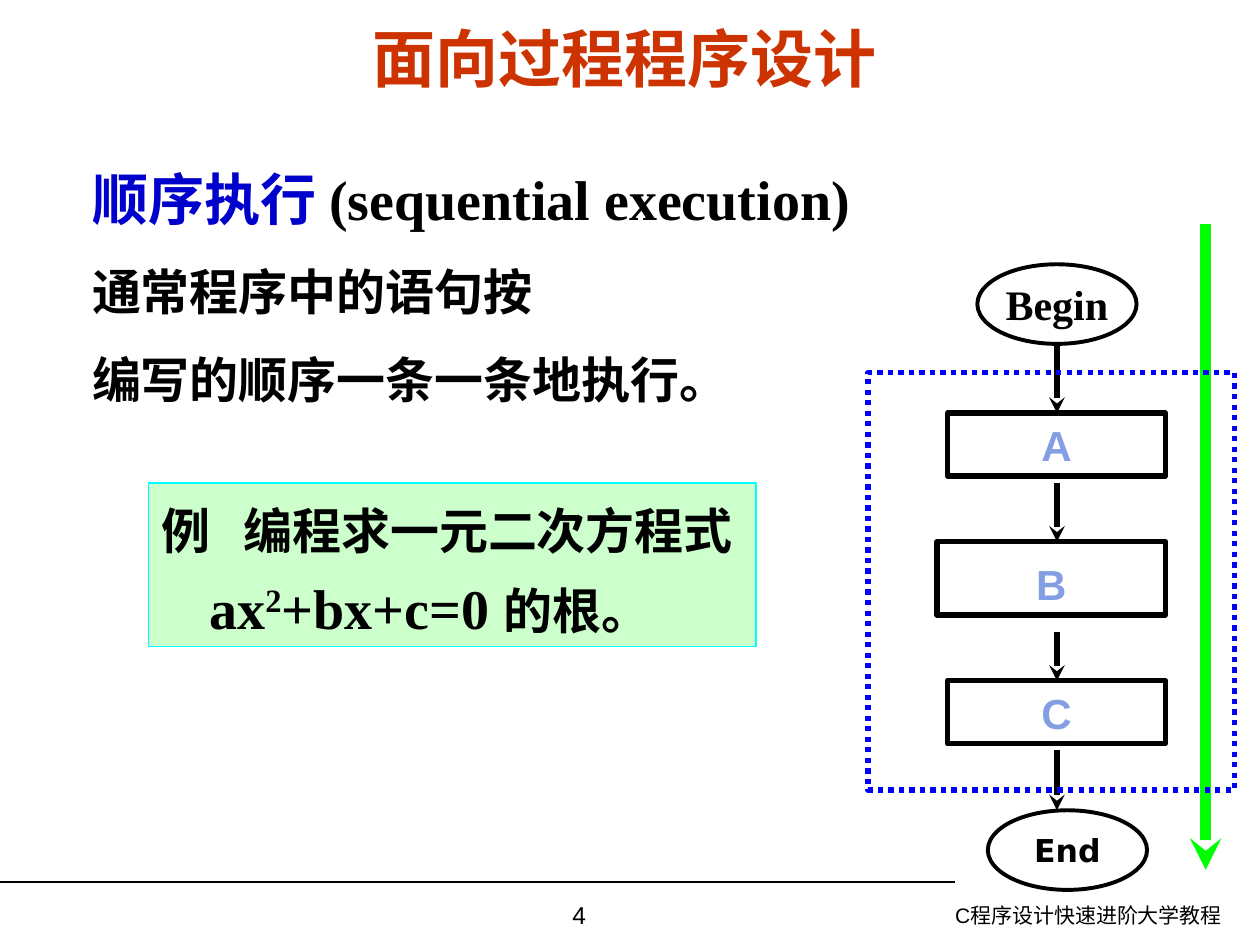
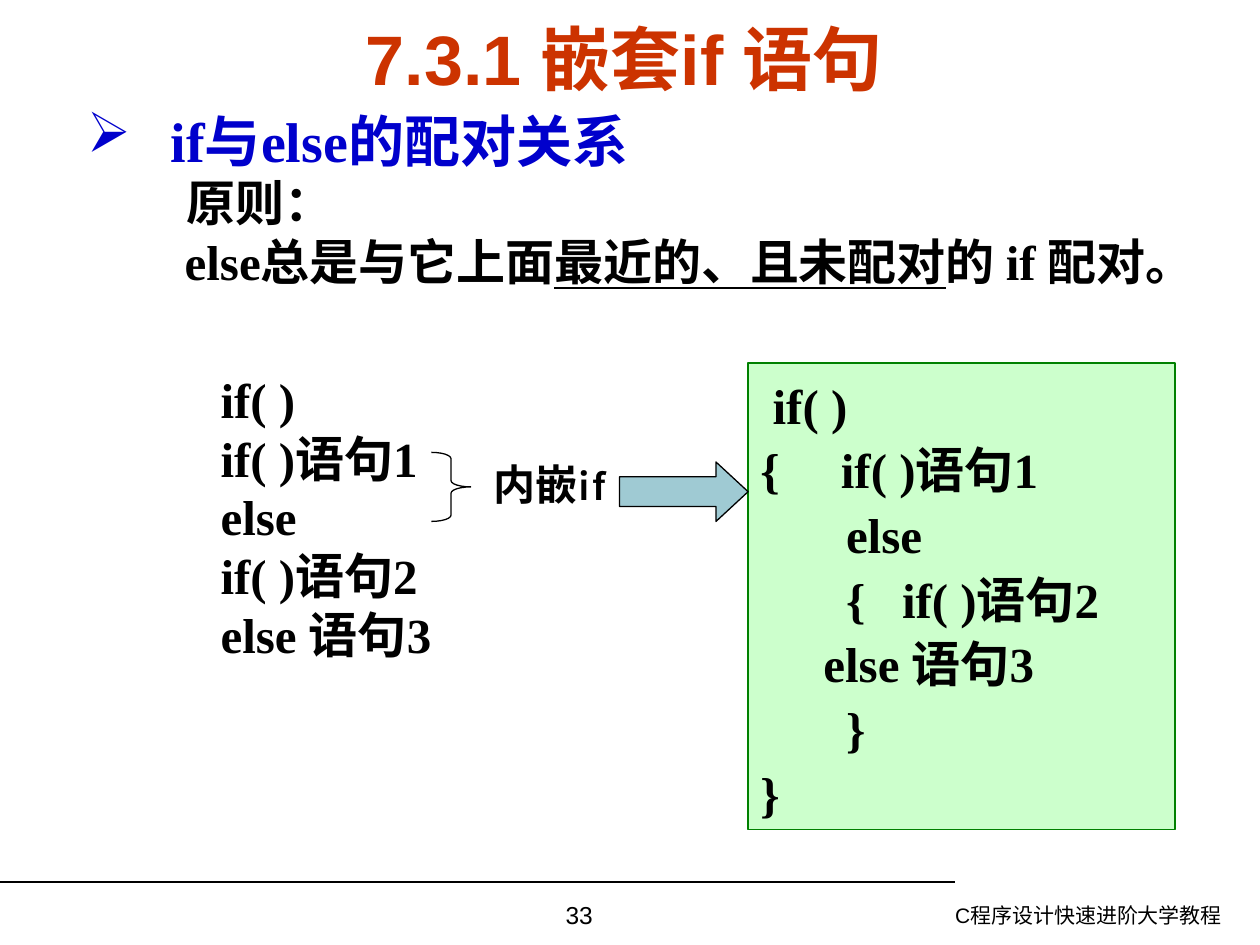
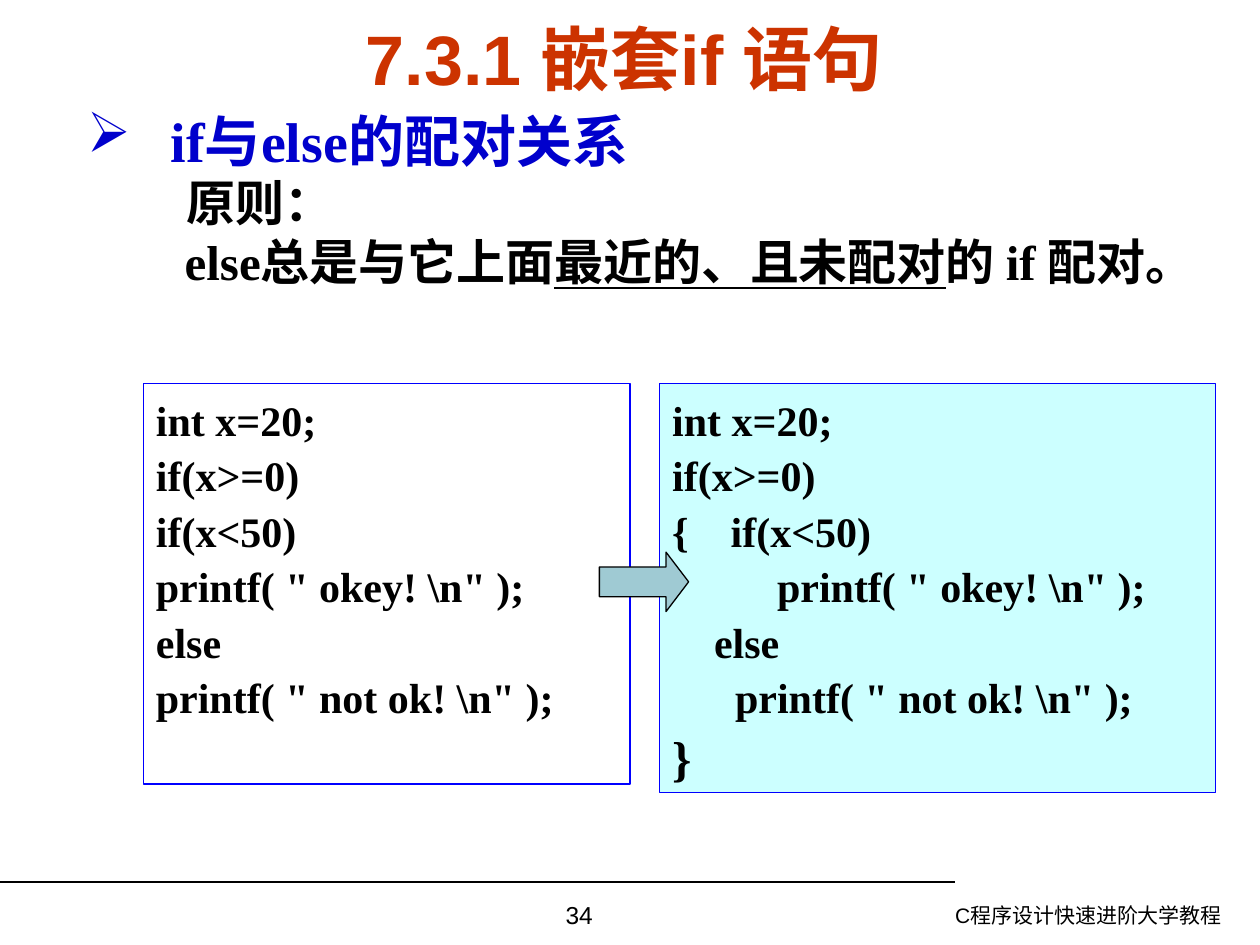
"""Build three C programming lecture slides: sequential execution and nested if."""
import lxml.etree
import pptx
import pptx.dml.color
import pptx.enum.dml
import pptx.enum.shapes
import pptx.enum.text
import pptx.oxml.ns
import pptx.util

Pt = pptx.util.Pt
qn = pptx.oxml.ns.qn
RGBColor = pptx.dml.color.RGBColor
Preset = pptx.enum.shapes.MSO_SHAPE
Align = pptx.enum.text.PP_ALIGN
Anchor = pptx.enum.text.MSO_ANCHOR

BLACK = RGBColor(0x00, 0x00, 0x00)
WHITE = RGBColor(0xFF, 0xFF, 0xFF)
TITLE_RED = RGBColor(0xCC, 0x33, 0x00)
HEADING_BLUE = RGBColor(0x00, 0x00, 0xCC)
FRAME_BLUE = RGBColor(0x00, 0x00, 0xFF)
STEP_BLUE = RGBColor(0x83, 0x9E, 0xE3)
FLOW_GREEN = RGBColor(0x00, 0xFF, 0x00)
CODE_GREEN = RGBColor(0x00, 0x80, 0x00)
PALE_GREEN = RGBColor(0xCC, 0xFF, 0xCC)
PALE_CYAN = RGBColor(0xCC, 0xFF, 0xFF)
CYAN = RGBColor(0x00, 0xFF, 0xFF)
ARROW_TEAL = RGBColor(0x9F, 0xCA, 0xD3)
SANS = "Arial"
SERIF = "Times New Roman"


def add_block(page, place, lines=(), size=28, font=SERIF, color=BLACK, bold=True,
              align=Align.LEFT, anchor=Anchor.TOP, spacing=1.0, wrap=True,
              preset=None, fill=None, line=BLACK, width=0.75):
    """Add a text box, or a preset shape, holding one paragraph for each line."""
    place = [Pt(length) for length in place]
    if preset is None:
        box = page.shapes.add_textbox(*place)
    else:
        box = page.shapes.add_shape(preset, *place)
        box.shadow.inherit = False
        if fill is None:
            box.fill.background()
        else:
            box.fill.solid()
            box.fill.fore_color.rgb = fill
        box.line.color.rgb = line
        box.line.width = Pt(width)
    frame = box.text_frame
    frame.word_wrap = wrap
    frame.vertical_anchor = anchor
    for index, text in enumerate(lines):
        para = frame.add_paragraph() if index else frame.paragraphs[0]
        para.add_run().text = text
        para.alignment = align
        para.line_spacing = spacing
        para.font.size = Pt(size)
        para.font.name = font
        para.font.bold = bold
        para.font.color.rgb = color
    return box


def add_line(page, start, end, color=BLACK, width=0.75, arrow=False):
    """Add a straight line, with a stealth arrowhead at its end if wanted."""
    points = [Pt(length) for length in (*start, *end)]
    connector = page.shapes.add_connector(pptx.enum.shapes.MSO_CONNECTOR.STRAIGHT, *points)
    connector.line.color.rgb = color
    connector.line.width = Pt(width)
    properties = connector.element.spPr
    if arrow:
        lxml.etree.SubElement(properties.find(qn("a:ln")), qn("a:tailEnd"), type="stealth")
    lxml.etree.SubElement(properties, qn("a:effectLst"))


deck = pptx.Presentation()
deck.slide_width = Pt(720)
deck.slide_height = Pt(540)

NESTED_TITLE = "7.3.1 嵌套if 语句"
pages = []
for number, title, title_size in [("4", "面向过程程序设计", 36),
                                  ("33", NESTED_TITLE, 40),
                                  ("34", NESTED_TITLE, 40)]:
    page = deck.slides.add_slide(deck.slide_layouts[6])
    add_line(page, (0, 504), (546, 504))
    add_block(page, (473, 512, 232.5, 28), ["C程序设计快速进阶大学教程"], 12, SANS,
              bold=False, align=Align.RIGHT)
    add_block(page, (247, 510.5, 168, 29.5), [number], 14, SANS, bold=False, align=Align.CENTER)
    add_block(page, (31, 15, 651.5, 36), [title], title_size, SANS, TITLE_RED,
              align=Align.CENTER, anchor=Anchor.MIDDLE)
    pages.append(page)
sequence_page, pairing_page, example_page = pages

intro = add_block(sequence_page, (45.5, 71.5, 533, 165.5),
                  ["顺序执行 ", "通常程序中的语句按", "编写的顺序一条一条地执行。"],
                  anchor=Anchor.MIDDLE, spacing=1.5)
heading = intro.text_frame.paragraphs[0]
heading.font.size = Pt(32)
heading.runs[0].font.color.rgb = HEADING_BLUE
heading.add_run().text = "(sequential execution)"

task = add_block(sequence_page, (85, 276, 347, 93.5), ["例\t编程求一元二次方程式", "ax"],
                 spacing=1.2, preset=Preset.RECTANGLE, fill=PALE_GREEN, line=CYAN)
question, equation = task.text_frame.paragraphs
properties = question._p.get_or_add_pPr()
tabs = lxml.etree.Element(qn("a:tabLst"))
lxml.etree.SubElement(tabs, qn("a:tab"), pos=str(Pt(47)), algn="l")
properties.find(qn("a:defRPr")).addprevious(tabs)
equation._p.get_or_add_pPr().set("marL", str(Pt(27.5)))
for text in ("2", "+bx+c=0 ", "的根。"):
    equation.add_run().text = text
for span in equation.runs[:3]:
    span.font.size = Pt(32)
equation.runs[1].font._element.set("baseline", "30000")

add_line(sequence_page, (689, 128), (689, 497), FLOW_GREEN, 6, arrow=True)
for name, left, top, wide, high, spacing in [("A", 541.5, 236, 124.5, 36, 1),
                                             ("B", 535.5, 309.5, 130.5, 42, 1.2),
                                             ("C", 541.5, 389, 124.5, 36, 1)]:
    add_block(sequence_page, (left, top, wide, high), [name], 24, SANS, STEP_BLUE,
              align=Align.CENTER, anchor=Anchor.MIDDLE, spacing=spacing,
              preset=Preset.RECTANGLE, width=3)
for top, bottom in [(196.5, 236), (276, 309.5), (361, 389), (428.5, 463)]:
    add_line(sequence_page, (604, top), (604, bottom), width=3, arrow=True)
scope = add_block(sequence_page, (496, 213, 209.5, 238.5), preset=Preset.RECTANGLE,
                  line=FRAME_BLUE, width=3)
scope.line.dash_style = pptx.enum.dml.MSO_LINE.ROUND_DOT
for name, left, top, size, font, fill in [("Begin", 558.5, 151, 24, SERIF, None),
                                          ("End", 564.5, 463, 18, "DejaVu Sans", WHITE)]:
    add_block(sequence_page, (left, top, 91, 45.5), [name], size, font, align=Align.CENTER,
              anchor=Anchor.MIDDLE, wrap=False, preset=Preset.OVAL, fill=fill, width=2.25)

for page in (pairing_page, example_page):
    rule = add_block(page, (42.5, 64.5, 641, 140), ["if与else的配对关系", "原则：", "else总是与它上面"])
    heading, label, principle = rule.text_frame.paragraphs
    heading.line_spacing = 0.8
    heading.font.size = Pt(32)
    heading.font.color.rgb = HEADING_BLUE
    for para, indent in [(heading, -48), (label, 9), (principle, 8)]:
        properties = para._p.get_or_add_pPr()
        properties.set("marL", str(Pt(48)))
        properties.set("indent", str(Pt(indent)))
    bullet = lxml.etree.Element(qn("a:buChar"), char="➢")
    heading._p.get_or_add_pPr().find(qn("a:defRPr")).addprevious(bullet)
    for text, underlined in [("最近的、且未配对", True), ("的 if 配对。", False)]:
        span = principle.add_run()
        span.text = text
        span.font.underline = underlined

add_block(pairing_page, (105, 207.5, 278, 175.5),
          ["  if( )", "  if( )语句1", "  else", "  if( )语句2", "  else 语句3"])
brace = add_block(pairing_page, (246.5, 258.5, 22.5, 39.5), preset=Preset.RIGHT_BRACE)
brace.adjustments[0] = 0.16
add_block(pairing_page, (275, 258.5, 79, 65), ["内嵌if"], 24, "Karla")
add_block(pairing_page, (427.5, 207.5, 244, 266.5),
          [" if( )", "{     if( )语句1", "       else", "       {   if( )语句2",
           "\telse 语句3", "       }", "}"],
          spacing=1.1, preset=Preset.RECTANGLE, fill=PALE_GREEN, line=CODE_GREEN)

add_block(example_page, (82, 219, 278, 229),
          ["int x=20;", "if(x>=0)", "if(x<50)", 'printf( " okey! \\n" );', "else",
           'printf( " not ok! \\n" );'],
          24, spacing=1.1, preset=Preset.RECTANGLE, line=FRAME_BLUE)
braced = add_block(example_page, (377, 219, 317.5, 234),
                   ["int x=20;", "if(x>=0)", "{    if(x<50)",
                    '          printf( " okey! \\n" );', "    else",
                    '      printf( " not ok! \\n" );', "}"],
                   24, spacing=1.1, preset=Preset.RECTANGLE, fill=PALE_CYAN, line=FRAME_BLUE)
braced.text_frame.paragraphs[-1].font.size = Pt(28)

for page, place, head in [(pairing_page, (354, 264, 73.5, 34), 0.54),
                          (example_page, (342.5, 315.5, 51, 34), 0.38)]:
    arrow = add_block(page, place, preset=Preset.RIGHT_ARROW, fill=ARROW_TEAL)
    arrow.adjustments[1] = head

deck.save("out.pptx")
